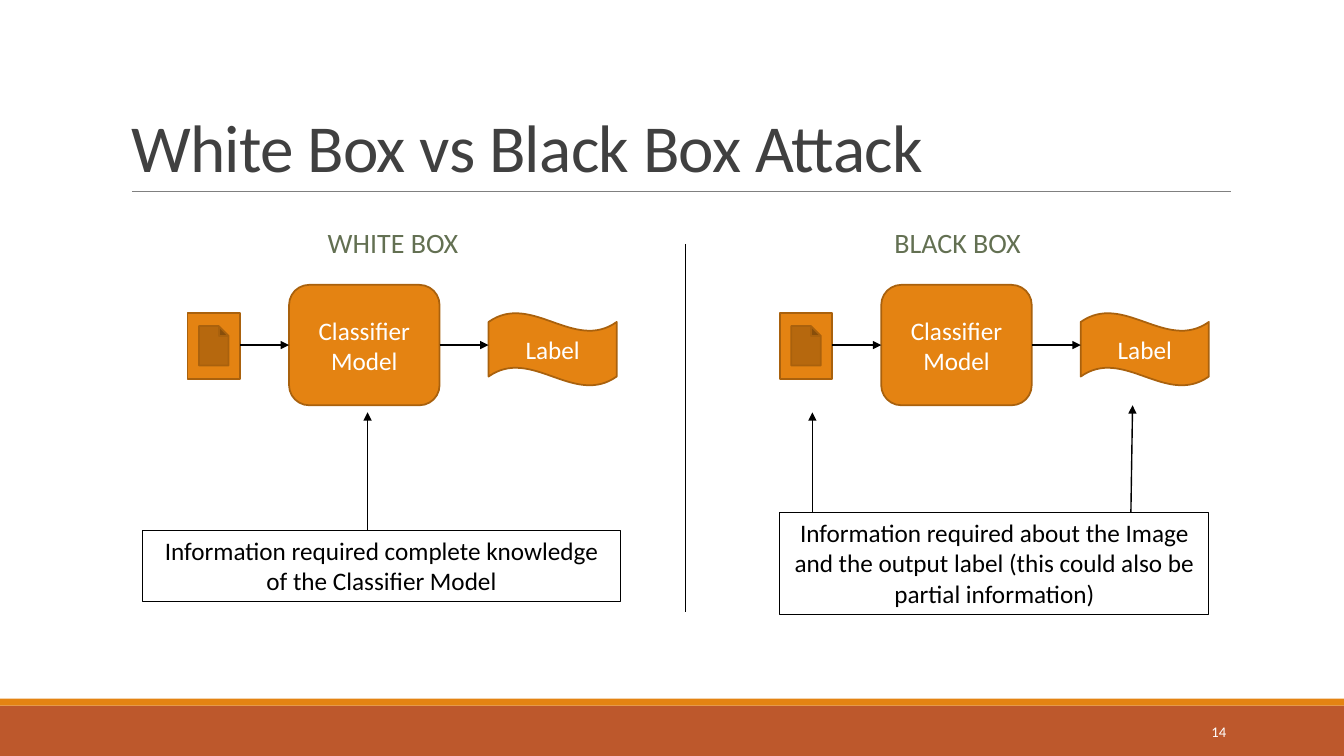
from lxml.etree import SubElement
from pptx import Presentation
from pptx.dml.color import RGBColor
from pptx.enum.shapes import MSO_CONNECTOR, MSO_SHAPE
from pptx.enum.text import MSO_ANCHOR, PP_ALIGN
from pptx.oxml.ns import qn
from pptx.util import Pt

ORANGE, DARK_ORANGE, RUST = "E48312", "A9610D", "BD582C"
BLACK, WHITE, GREY, GREEN = "000000", "FFFFFF", "808080", "637052"


def color(value):
    return RGBColor.from_string(value)


def write(sp, text, size=18, fill=BLACK, align=PP_ALIGN.CENTER,
          anchor=MSO_ANCHOR.MIDDLE, spacing=None):
    tf = sp.text_frame
    tf.word_wrap = True
    tf.vertical_anchor = anchor
    tf.text = text
    for p in tf.paragraphs:
        p.alignment = align
        p.line_spacing = spacing
        for r in p.runs:
            r.font.name = "Calibri"
            r.font.size = Pt(size)
            r.font.color.rgb = color(fill)


prs = Presentation()
prs.slide_width, prs.slide_height = Pt(960), Pt(540)
s = prs.slides.add_slide(prs.slide_layouts[5])

# Title
title = s.shapes.title
title.left, title.top, title.width, title.height = Pt(86.4), Pt(22.5), Pt(792), Pt(114.3)
write(title, "White Box vs Black Box Attack", size=48, fill="404040",
      align=PP_ALIGN.LEFT, anchor=MSO_ANCHOR.BOTTOM, spacing=0.85)
title.text_frame.paragraphs[0].runs[0].font._element.set("spc", "-50")

# Footer bands and page number
for top, height, fill in [(504, 36, RUST), (499, 5, ORANGE)]:
    band = s.shapes.add_shape(MSO_SHAPE.RECTANGLE, 0, Pt(top), Pt(960), Pt(height))
    band.shadow.inherit = False
    band.fill.solid()
    band.fill.fore_color.rgb = color(fill)
    band.line.fill.background()
number = s.shapes.add_textbox(Pt(780), Pt(508.5), Pt(103), Pt(28.8))
write(number, "14", size=10.5, fill=WHITE, align=PP_ALIGN.RIGHT)

# Column headings
for left, heading in [(86.4, "WHITE BOX"), (489.6, "BLACK BOX")]:
    box = s.shapes.add_textbox(Pt(left), Pt(145.4), Pt(388.8), Pt(58.3))
    write(box, heading, size=20, fill=GREEN, spacing=0.9)

# Document -> model -> label flow, once per column
arrows = []
mid = 246.5
for left, model_text in [(134, "Classifier Model"), (557, "Classifier\nModel")]:
    group = s.shapes.add_group_shape().shapes
    flow = []
    for kind, dx, top, width, height, text in [
        (MSO_SHAPE.ACTION_BUTTON_DOCUMENT, 0, 223.5, 37.5, 47, ""),
        (MSO_SHAPE.FLOWCHART_ALTERNATE_PROCESS, 72.5, 203.5, 107.5, 86, model_text),
        (MSO_SHAPE.WAVE, 215, 223.5, 91.5, 52, "Label"),
    ]:
        sp = group.add_shape(kind, Pt(left + dx), Pt(top), Pt(width), Pt(height))
        sp.shadow.inherit = False
        sp.fill.solid()
        sp.fill.fore_color.rgb = color(ORANGE)
        sp.line.color.rgb = color(DARK_ORANGE)
        sp.line.width = Pt(1.25)
        if text:
            write(sp, text, fill=WHITE)
        flow.append(sp)
    document, model, label = flow
    into_model, out_of_model = [
        group.add_connector(MSO_CONNECTOR.STRAIGHT, a.left + a.width, Pt(mid), b.left, Pt(mid))
        for a, b in [(document, model), (model, label)]
    ]
    into_model.end_connect(model, 1)
    out_of_model.begin_connect(model, 3)
    arrows += [into_model, out_of_model]

# Notes on the information each attack needs
for left, top, width, height, text in [
    (101.5, 379, 342, 51,
     "Information required complete knowledge of the Classifier Model"),
    (557, 366, 306.5, 73,
     "Information required about the Image and the output label "
     "(this could also be partial information)"),
]:
    note = s.shapes.add_textbox(Pt(left), Pt(top), Pt(width), Pt(height))
    note.line.color.rgb = color(BLACK)
    note.line.width = Pt(0.75)
    write(note, text, anchor=MSO_ANCHOR.TOP)

# Arrows up from the notes
for x1, y1, x2, y2 in [(262.6, 379, 262.6, 294.5), (580.3, 366, 580.3, 294.5),
                       (807.8, 366, 809, 289.5)]:
    arrows.append(s.shapes.add_connector(MSO_CONNECTOR.STRAIGHT, Pt(x1), Pt(y1), Pt(x2), Pt(y2)))

# Title rule and column divider
rule = s.shapes.add_connector(MSO_CONNECTOR.STRAIGHT, Pt(94.3), Pt(136.6), Pt(879), Pt(136.6))
divider = s.shapes.add_connector(MSO_CONNECTOR.STRAIGHT, Pt(489.5), Pt(174.3), Pt(489.5), Pt(437))

for line in arrows + [rule, divider]:
    line.line.color.rgb = color(GREY if line is rule else BLACK)
    line.line.width = Pt(0.5 if line is rule else 1)
    SubElement(line._element.spPr, qn("a:effectLst"))
for arrow in arrows:
    SubElement(arrow.line._get_or_add_ln(), qn("a:tailEnd"), type="triangle")

prs.save("out.pptx")
